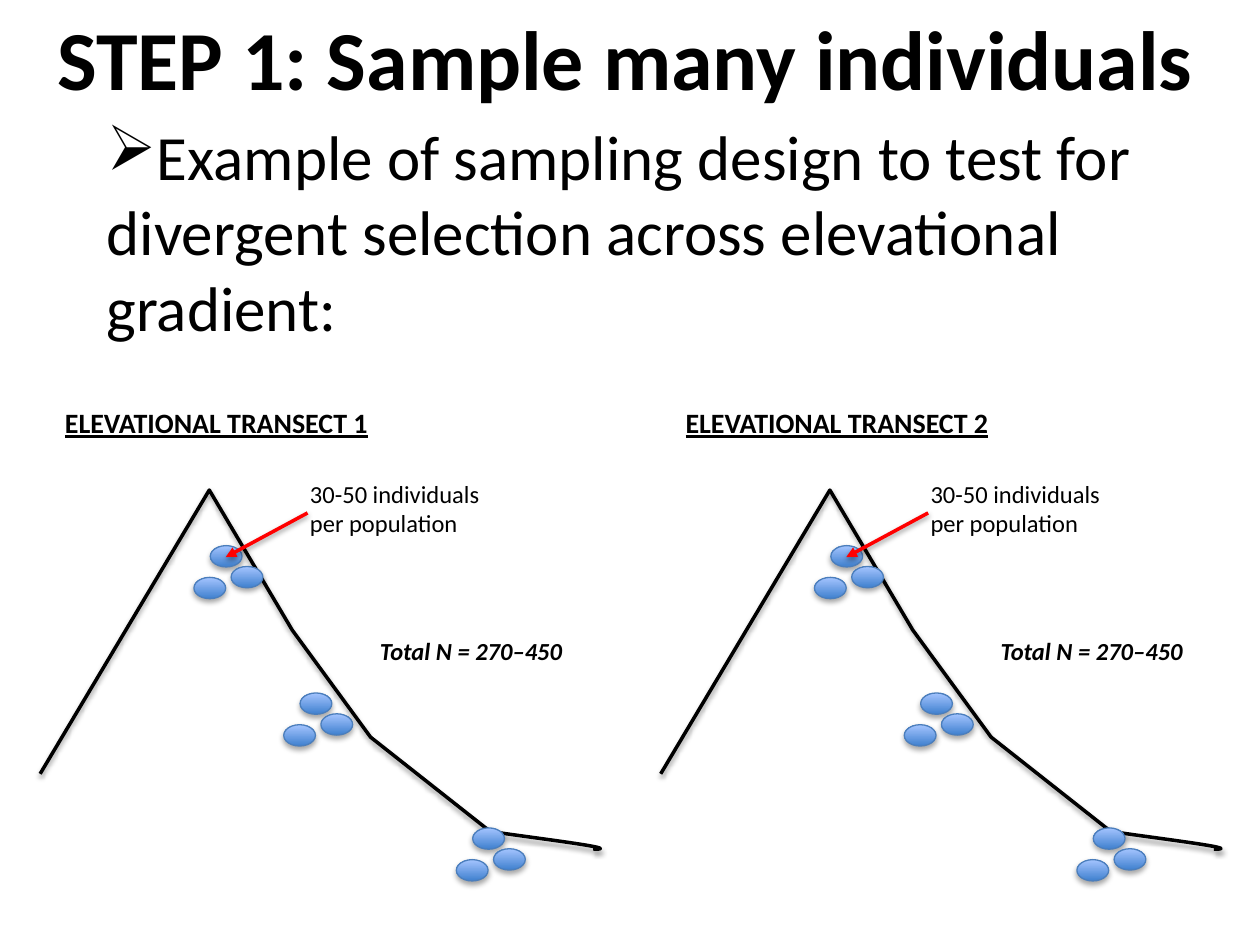
import lxml.etree
import pptx
import pptx.dml.color
import pptx.enum.dml
import pptx.enum.shapes
import pptx.enum.text
import pptx.oxml
import pptx.oxml.ns
import pptx.util

Cm = pptx.util.Cm
Pt = pptx.util.Pt
qn = pptx.oxml.ns.qn
hue = pptx.dml.color.RGBColor.from_string


def shade(shape, alpha, drop):
    shape._element.spPr.append(pptx.oxml.parse_xml(
        f'<a:effectLst {pptx.oxml.ns.nsdecls("a")}>'
        f'<a:outerShdw blurRad="{Pt(3.1)}" dist="{Pt(drop)}" dir="5400000" rotWithShape="0">'
        f'<a:srgbClr val="000000"><a:alpha val="{alpha}000"/></a:srgbClr>'
        '</a:outerShdw></a:effectLst>'))


def label(text, left, top, width, height, size, bold=False, wrap=False):
    box = slide.shapes.add_textbox(Cm(left), Cm(top), Cm(width), Cm(height))
    frame = box.text_frame
    frame.word_wrap = wrap
    frame.auto_size = pptx.enum.text.MSO_AUTO_SIZE.SHAPE_TO_FIT_TEXT
    frame.text = text
    for para in frame.paragraphs:
        for run in para.runs:
            run.font.name = "Calibri"
            run.font.size = Pt(size)
            run.font.bold = bold
            run.font.color.rgb = hue("000000")
    return frame.paragraphs[0]


deck = pptx.Presentation()
deck.slide_width = Cm(25.4)
deck.slide_height = Cm(19.05)
slide = deck.slides.add_slide(deck.slide_layouts[6])

label("STEP 1: Sample many individuals", 0.91, 0, 23.65, 2.31, 48, bold=True)
intro = label(
    "Example of sampling design to test for divergent selection across elevational gradient:",
    1.9, 2.24, 23.93, 4.88, 36, wrap=True)
props = intro._p.get_or_add_pPr()
props.set("marL", "0")
props.set("indent", "0")
lxml.etree.SubElement(props, qn("a:buChar")).set("char", "➢")

ridge = [(0.81, 15.6), (4.22, 9.88), (5.89, 12.7), (7.47, 14.86), (9.88, 16.76),
         (10.57, 16.87), (12.67, 17.12), (11.96, 17.12)]
sites = [(4.24, 11), (6.05, 13.97), (9.53, 16.69)]
trio = [(0, 0), (0.42, 0.42), (-0.33, 0.64)]

for count, shift in enumerate((0, 12.51), 1):
    spots = [(round((x + shift) * 100), round(y * 100)) for x, y in ridge]
    pen = slide.shapes.build_freeform(*spots[0], scale=Cm(0.01))
    pen.add_line_segments(spots[1:], close=False)
    slope = pen.convert_to_shape()
    slope.fill.background()
    slope.line.color.rgb = hue("000000")
    slope.line.width = Pt(2)
    shade(slope, 38, 1.6)
    track = slope._element.spPr.find(".//" + qn("a:path"))
    curve = lxml.etree.SubElement(track, qn("a:cubicBezTo"))
    for step in track.findall(qn("a:lnTo"))[-3:]:
        curve.append(step[0])
        track.remove(step)

    for left, top in sites:
        for dx, dy in trio:
            dot = slide.shapes.add_shape(
                pptx.enum.shapes.MSO_SHAPE.OVAL,
                Cm(left + dx + shift), Cm(top + dy), Cm(0.64), Cm(0.43))
            dot.fill.gradient()
            dot.fill.gradient_angle = 90
            for stop, tint in zip(dot.fill.gradient_stops, ("3F80CE", "A4C4FF")):
                stop.color.rgb = hue(tint)
            stops = dot.fill.gradient_stops
            stops[0].position, stops[1].position = 0, 1
            dot.line.color.rgb = hue("4B7EBC")
            dot.line.width = Pt(0.75)
            shade(dot, 35, 1.8)

    label("30-50 individuals\nper population", 6 + shift, 9.53, 3.96, 1.45, 14)
    arrow = slide.shapes.add_connector(
        pptx.enum.shapes.MSO_CONNECTOR.STRAIGHT,
        Cm(6.2 + shift), Cm(10.34), Cm(4.55 + shift), Cm(11.23))
    arrow.line.color.rgb = hue("FF0000")
    arrow.line.width = Pt(2)
    tip = lxml.etree.SubElement(arrow.line._get_or_add_ln(), qn("a:tailEnd"))
    tip.set("type", "triangle")
    shade(arrow, 38, 1.6)

    head = label(f"ELEVATIONAL TRANSECT {count}", 1.06 + shift, 8.05, 6.71, 0.94, 16, bold=True)
    head.runs[0].font.underline = True
    total = label("Total N = 270–450", 7.41 + shift, 12.7, 4.34, 0.86, 14, bold=True)
    total.runs[0].font.italic = True

deck.save("out.pptx")
